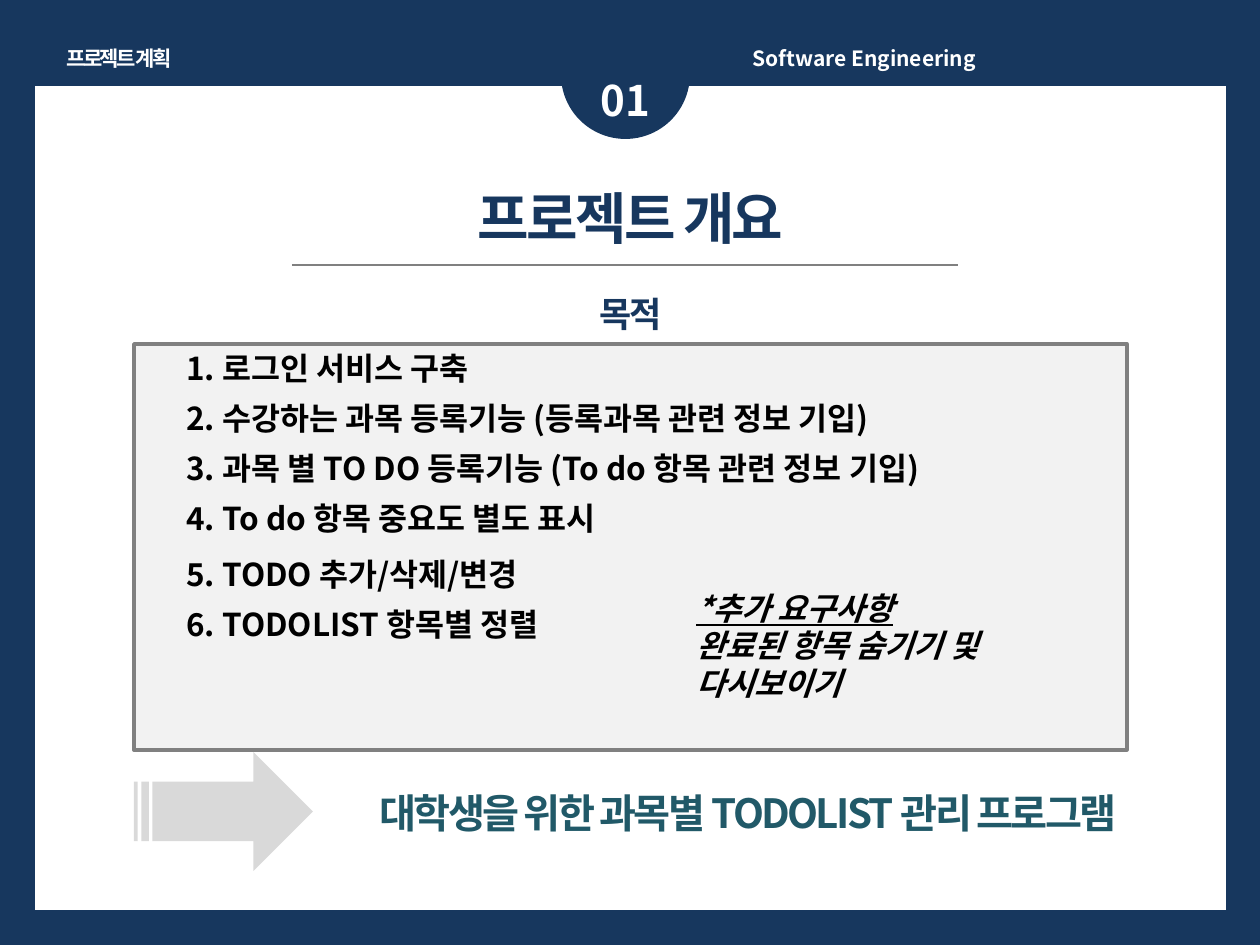
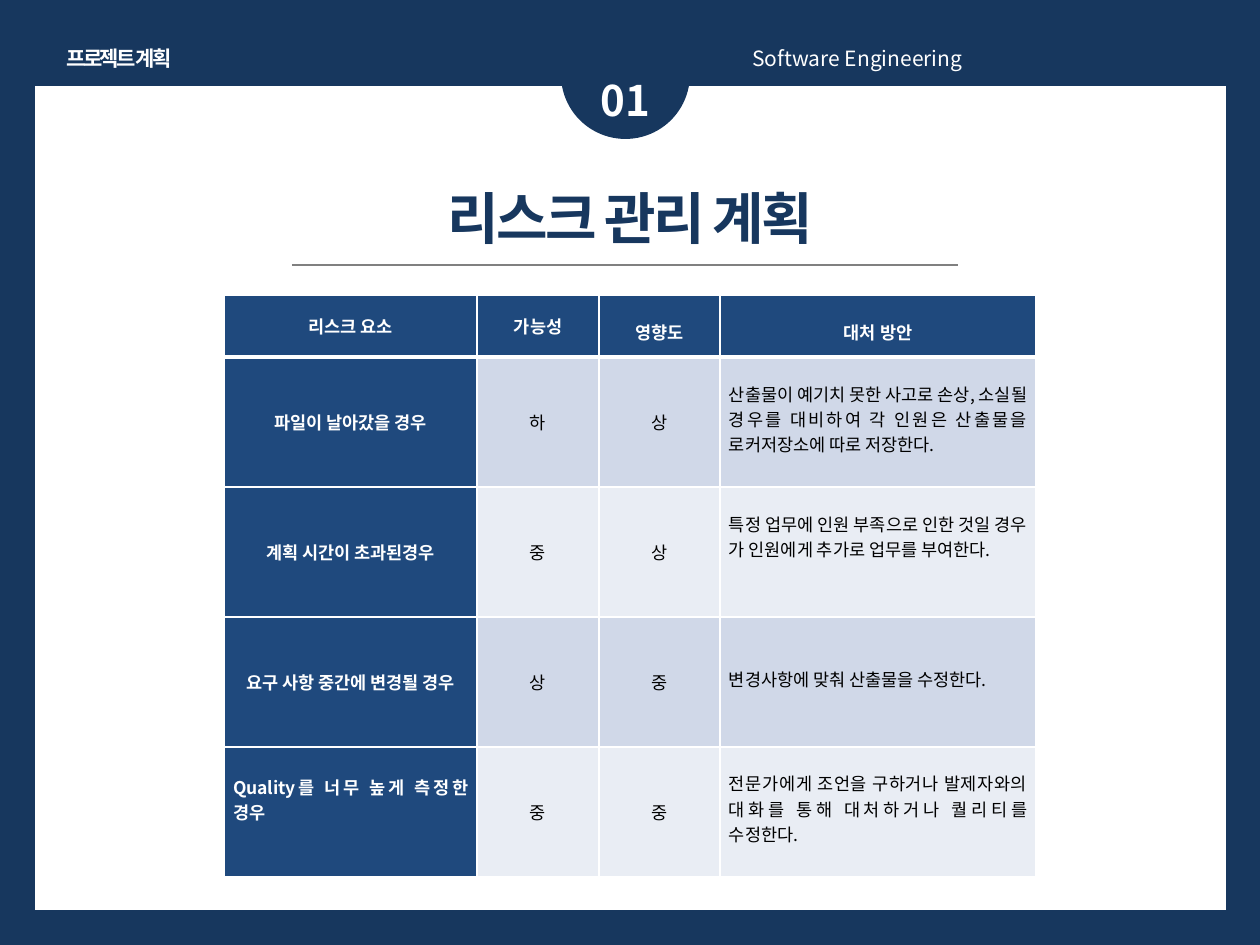
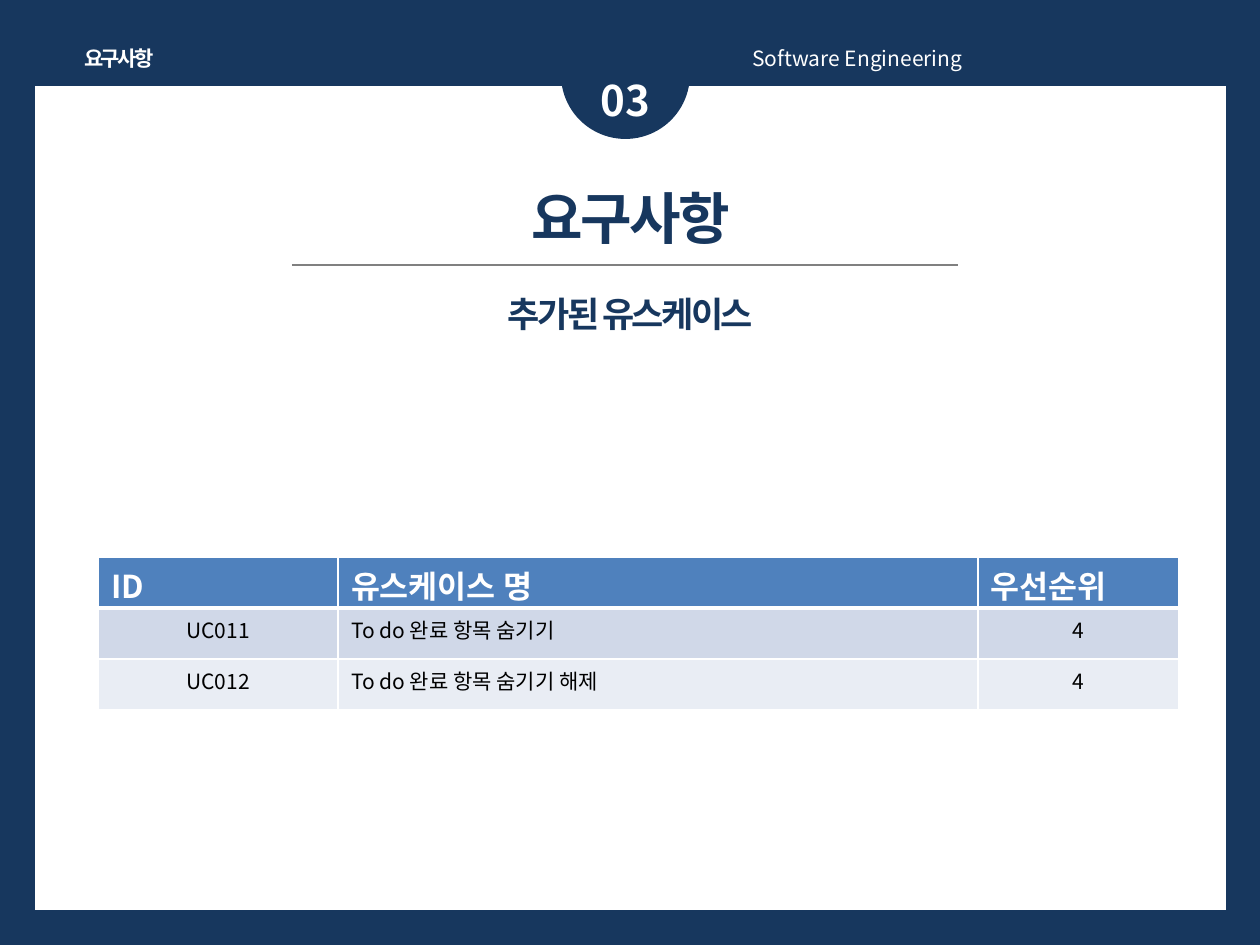
from dataclasses import dataclass

from lxml import etree
from pptx import Presentation
from pptx import util as u
from pptx.dml.color import RGBColor
from pptx.enum import shapes, text
from pptx.oxml.ns import qn

EMU_PER_PX = 914400 / 126
LEFT, CENTER, JUSTIFY = text.PP_ALIGN.LEFT, text.PP_ALIGN.CENTER, text.PP_ALIGN.JUSTIFY
TOP, MIDDLE = text.MSO_ANCHOR.TOP, text.MSO_ANCHOR.MIDDLE


@dataclass(frozen=True)
class Theme:
    font: str = "Noto Sans CJK KR"
    navy: str = "17375E"
    white: str = "FFFFFF"
    black: str = "000000"
    gray: str = "808080"
    panel: str = "F2F2F2"
    arrow: str = "D9D9D9"
    teal: str = "215968"
    risk_head: str = "1F497D"
    case_head: str = "4F81BD"
    bands: tuple = ("D0D8E8", "E9EDF4")
    title: int = 32
    number: int = 24
    goal: int = 23
    subtitle: int = 20
    item: int = 18
    label: int = 12
    small: int = 10
    tight: float = -1.5
    leading: float = 1.25


THEME = Theme()


def px(length):
    return u.Emu(round(length * EMU_PER_PX))


def rgb(value):
    return RGBColor.from_string(value)


def write(frame, content, *, size, color=THEME.black, bold=False, italic=False,
          underline=False, align=LEFT, tracking=0, leading=None, before=0):
    paragraph = frame.paragraphs[0] if not frame.text else frame.add_paragraph()
    paragraph.alignment = align
    if leading:
        paragraph.line_spacing = u.Pt(round(size * leading, 1))
    if before:
        paragraph.space_before = u.Pt(before)
    run = paragraph.add_run()
    run.text = content
    font = run.font
    font.name, font.size = THEME.font, u.Pt(size)
    font.bold, font.italic, font.underline = bold, italic, underline
    font.color.rgb = rgb(color)
    properties = run._r.get_or_add_rPr()
    etree.SubElement(properties, qn("a:ea"), typeface=THEME.font)
    if tracking:
        properties.set("spc", str(round(tracking * 100)))


def add_label(slide, box, content, *, wrap=True, leading=THEME.leading, **style):
    frame = slide.shapes.add_textbox(*map(px, box)).text_frame
    frame.word_wrap = wrap
    write(frame, content, leading=leading, **style)
    return frame


def add_block(slide, kind, box, fill, outline=None):
    block = slide.shapes.add_shape(kind, *map(px, box))
    block.shadow.inherit = False
    block.fill.solid()
    block.fill.fore_color.rgb = rgb(fill)
    if outline:
        block.line.color.rgb = rgb(outline)
        block.line.width = u.Pt(2)
    else:
        block.line.fill.background()


def add_rule(slide, left, right, y):
    rule = slide.shapes.add_connector(
        shapes.MSO_CONNECTOR.STRAIGHT, px(left), px(y), px(right), px(y))
    rule.line.color.rgb = rgb(THEME.gray)
    rule.line.width = u.Pt(0.75)
    etree.SubElement(rule._element.spPr, qn("a:effectLst"))


def set_borders(cell, top, bottom):
    properties = cell._tc.get_or_add_tcPr()
    widths = {"lnL": 1, "lnR": 1, "lnT": top, "lnB": bottom}
    for position, (side, width) in enumerate(widths.items()):
        border = etree.Element(qn(f"a:{side}"), w=str(u.Pt(width)))
        fill = etree.SubElement(border, qn("a:solidFill"))
        etree.SubElement(fill, qn("a:srgbClr"), val=THEME.white)
        properties.insert(position, border)


def add_table(slide, left, top, widths, heights):
    table = slide.shapes.add_table(
        len(heights), len(widths), px(left), px(top),
        px(sum(widths)), px(sum(heights))).table
    table.first_row = table.horz_banding = False
    for column, width in zip(table.columns, widths):
        column.width = px(width)
    for row, height in zip(table.rows, heights):
        row.height = px(height)
    return table


def fill_cell(table, row, column, content, fill, *, anchor, margins, **style):
    cell = table.cell(row, column)
    cell.fill.solid()
    cell.fill.fore_color.rgb = rgb(fill)
    cell.vertical_anchor = anchor
    (cell.margin_left, cell.margin_top,
     cell.margin_right, cell.margin_bottom) = map(px, margins)
    write(cell.text_frame, content, **style)
    set_borders(cell, 3 if row == 1 else 1, 3 if row == 0 else 1)


def add_page(deck, section, number, title, subtitle=None,
             section_box=(49, 38, 140, 38), course_bold=False):
    slide = deck.slides.add_slide(deck.slide_layouts[6])
    slide.background.fill.solid()
    slide.background.fill.fore_color.rgb = rgb(THEME.navy)
    add_block(slide, shapes.MSO_SHAPE.RECTANGLE, (35, 86, 1191, 824), THEME.white)
    add_block(slide, shapes.MSO_SHAPE.OVAL, (561, 10, 129, 129), THEME.navy)
    add_label(slide, (740, 38, 496, 38), "Software Engineering", size=THEME.label,
              color=THEME.white, bold=course_bold, align=JUSTIFY)
    add_label(slide, (551, 66, 149, 63), number, size=THEME.number,
              color=THEME.white, bold=True, align=CENTER)
    heading = dict(color=THEME.navy, bold=True, align=CENTER, tracking=THEME.tight)
    frame = add_label(slide, (333, 175, 595, 165), title, size=THEME.title, **heading)
    if subtitle:
        write(frame, subtitle, size=THEME.subtitle, leading=THEME.leading,
              before=22.5, **heading)
    add_rule(slide, 292, 958, 265)
    add_label(slide, section_box, section, wrap=False, size=THEME.label,
              color=THEME.white, bold=True, align=CENTER, tracking=THEME.tight)
    return slide


def build_overview(deck):
    slide = add_page(deck, "프로젝트 계획", "01", "프로젝트 개요", "목적", course_bold=True)
    add_block(slide, shapes.MSO_SHAPE.RECTANGLE, (134, 344, 993, 406),
              THEME.panel, THEME.gray)
    goal_groups = {
        341: ["1. 로그인 서비스 구축",
              "2. 수강하는 과목 등록기능 (등록과목 관련 정보 기입)",
              "3. 과목 별 TO DO 등록기능 (To do 항목 관련 정보 기입)",
              "4. To do 항목 중요도 별도 표시"],
        547: ["5. TODO 추가/삭제/변경",
              "6. TODOLIST 항목별 정렬"],
    }
    for top, goals in goal_groups.items():
        for index, goal in enumerate(goals):
            add_label(slide, (174, top + 50 * index, 840, 50), goal,
                      size=THEME.item, bold=True)
    extra = dict(size=THEME.item, bold=True, italic=True, leading=1.19)
    frame = add_label(slide, (684, 583, 422, 165), "*추가 요구사항",
                      underline=True, **extra)
    write(frame, "완료된 항목 숨기기 및 다시보이기", **extra)
    add_block(slide, shapes.MSO_SHAPE.STRIPED_RIGHT_ARROW, (134, 752, 179, 119),
              THEME.arrow)
    add_label(slide, (367, 780, 832, 111), "대학생을 위한 과목별 TODOLIST 관리 프로그램",
              wrap=False, size=THEME.goal, color=THEME.teal, bold=True,
              tracking=THEME.tight)


def build_risks(deck):
    slide = add_page(deck, "프로젝트 계획", "01", "리스크 관리 계획")
    headers = ["리스크 요소", "가능성", "영향도", "대처 방안"]
    risks = [
        ("파일이 날아갔을 경우", "하", "상",
         "산출물이 예기치 못한 사고로 손상, 소실될 경우를 대비하여 각 인원은 "
         "산출물을 로커저장소에 따로 저장한다."),
        ("계획 시간이 초과된경우", "중", "상",
         "특정 업무에 인원 부족으로 인한 것일 경우 가 인원에게 추가로 업무를 부여한다."),
        ("요구 사항 중간에 변경될 경우", "상", "중",
         "변경사항에 맞춰 산출물을 수정한다."),
        ("Quality를 너무 높게 측정한 경우", "중", "중",
         "전문가에게 조언을 구하거나 발제자와의 대화를 통해 대처하거나 퀄리티를 수정한다."),
    ]
    response_tops = [24, 24, 50, 24]
    table = add_table(slide, 224, 295, [253, 122, 121, 316], [62] + [130] * len(risks))
    head = dict(size=THEME.small, color=THEME.white, bold=True, anchor=MIDDLE)
    for column, header in enumerate(headers):
        fill_cell(table, 0, column, header, THEME.risk_head, align=CENTER,
                  margins=(9, 12 if column > 1 else 0, 9, 0), **head)
    for row, (risk, chance, impact, response) in enumerate(risks, 1):
        band = THEME.bands[(row - 1) % 2]
        is_last = row == len(risks)
        fill_cell(table, row, 0, risk, THEME.risk_head,
                  align=JUSTIFY if is_last else CENTER,
                  margins=(9, 0, 9, 25 if is_last else 0), **head)
        for column, grade in enumerate((chance, impact), 1):
            fill_cell(table, row, column, grade, band, anchor=MIDDLE,
                      margins=(9, 0, 9, 0), size=THEME.small, align=CENTER)
        fill_cell(table, row, 3, response, band, anchor=TOP,
                  margins=(9, response_tops[row - 1], 9, 0),
                  size=THEME.small, align=JUSTIFY)


def build_use_cases(deck):
    slide = add_page(deck, "요구사항", "03", "요구사항", "추가된 유스케이스",
                     section_box=(70, 38, 98, 38))
    headers = ["ID", "유스케이스 명", "우선순위"]
    use_cases = [("UC011", "To do 완료 항목 숨기기", "4"),
                 ("UC012", "To do 완료 항목 숨기기 해제", "4")]
    table = add_table(slide, 98, 557, [240, 640, 201], [51] * 3)
    for column, header in enumerate(headers):
        fill_cell(table, 0, column, header, THEME.case_head, anchor=TOP,
                  margins=(13, 5, 13, 0), size=THEME.item, color=THEME.white, bold=True)
    for row, use_case in enumerate(use_cases, 1):
        for column, value in enumerate(use_case):
            fill_cell(table, row, column, value, THEME.bands[row - 1], anchor=TOP,
                      margins=(13, 6, 13, 6), size=THEME.label,
                      align=LEFT if column == 1 else CENTER)


def main():
    deck = Presentation()
    deck.slide_width, deck.slide_height = px(1260), px(945)
    build_overview(deck)
    build_risks(deck)
    build_use_cases(deck)
    deck.save("out.pptx")


if __name__ == "__main__":
    main()
